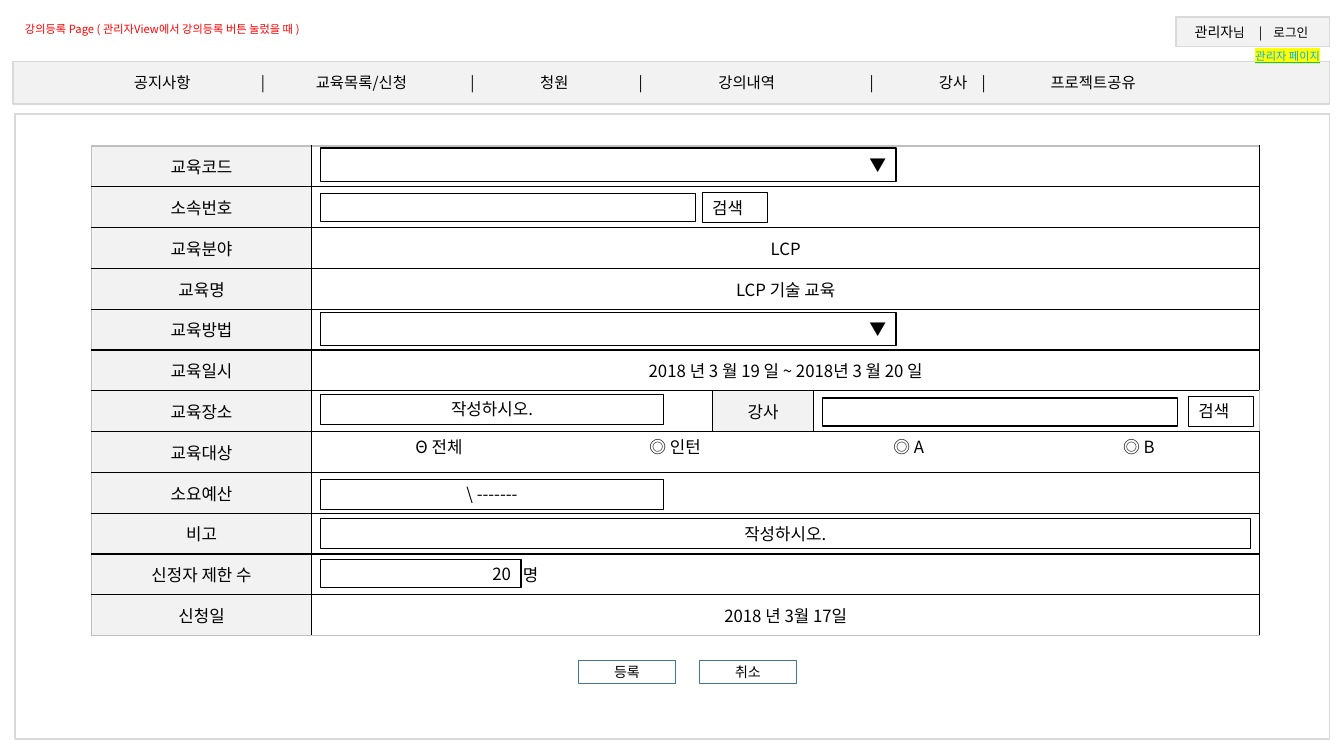
from lxml.etree import SubElement
from pptx import Presentation
from pptx.dml.color import RGBColor
from pptx.enum.shapes import MSO_SHAPE
from pptx.enum.text import MSO_ANCHOR, PP_ALIGN
from pptx.oxml.ns import qn
from pptx.util import Cm, Pt

FONT = "Noto Sans CJK KR"
BLACK = RGBColor(0x00, 0x00, 0x00)
RED = RGBColor(0xFF, 0x00, 0x00)
CYAN = RGBColor(0x00, 0xB0, 0xF0)
YELLOW = RGBColor(0xFF, 0xFF, 0x00)
LIGHT = RGBColor(0xF2, 0xF2, 0xF2)
SILVER = RGBColor(0xD9, 0xD9, 0xD9)
GREY = RGBColor(0xBF, 0xBF, 0xBF)
BLUE = RGBColor(0x43, 0x73, 0x9E)

COLUMNS = (5.54, 10.11, 2.54, 11.25)
ROWS = (
    ("교육코드", ""),
    ("소속번호", ""),
    ("교육분야", "LCP"),
    ("교육명", "LCP 기술 교육"),
    ("교육방법", ""),
    ("교육일시", "2018 년 3 월 19 일 ~ 2018년 3 월 20 일"),
    ("교육장소", ""),
    ("교육대상", ""),
    ("소요예산", ""),
    ("비고", ""),
    ("신정자 제한 수", "명"),
    ("신청일", "2018 년 3월 17일"),
)
PLACE_ROW, LIMIT_ROW = 6, 10
FIELD_LEFT = 5.77
# Row, left, offset in row, width, height, text, alignment, line width
FIELDS = (
    (0, FIELD_LEFT, 0.05, 14.5, 0.84, "▼", PP_ALIGN.RIGHT, 1),
    (1, FIELD_LEFT, 0.17, 9.45, 0.71, "", PP_ALIGN.LEFT, 1),
    (1, 15.39, 0.14, 1.63, 0.76, "검색", PP_ALIGN.LEFT, 0.25),
    (4, FIELD_LEFT, 0.08, 14.5, 0.84, "▼", PP_ALIGN.RIGHT, 1),
    (6, FIELD_LEFT, 0.08, 8.64, 0.76, "작성하시오.", PP_ALIGN.CENTER, 0.25),
    (6, 18.42, 0.18, 8.94, 0.71, "", PP_ALIGN.LEFT, 1),
    (6, 27.64, 0.13, 1.63, 0.76, "검색", PP_ALIGN.LEFT, 0.25),
    (8, FIELD_LEFT, 0.16, 8.64, 0.76, "\\ -------", PP_ALIGN.CENTER, 0.25),
    (9, FIELD_LEFT, 0.13, 23.42, 0.76, "작성하시오.", PP_ALIGN.CENTER, 0.25),
    (10, FIELD_LEFT, 0.14, 5.05, 0.71, "20", PP_ALIGN.RIGHT, 1),
)
TARGETS = (("Θ 전체", 7.27, 2.97), ("◎ 인턴", 13.23, 2.95),
           ("◎ A", 19.2, 2.79), ("◎ B", 25.0, 2.79))
# Menu words and bars with the centre of each, from the text edge
MENU = (("공지사항", 3.51), ("|", 6.05), ("교육목록/신청", 8.53), ("|", 11.33),
        ("청원", 13.39), ("|", 15.57), ("강의내역", 18.24), ("|", 21.39),
        ("강사", 23.44), ("|", 24.21), ("프로젝트공유", 26.97))


def style(paragraph, size, color=BLACK, align=PP_ALIGN.LEFT):
    paragraph.alignment = align
    font = paragraph.font
    font.size, font.name = Pt(size), FONT
    font.color.rgb = color
    defaults = paragraph._p.pPr.find(qn("a:defRPr"))
    SubElement(defaults, qn("a:ea"), typeface=FONT)


def add_center_tabs(paragraph, centers):
    tabs = SubElement(paragraph._p.get_or_add_pPr(), qn("a:tabLst"))
    for center in centers:
        SubElement(tabs, qn("a:tab"), pos=str(Cm(center)), algn="ctr")


def add_box(slide, box, fill=None, line=BLACK, weight=1.0):
    shape = slide.shapes.add_shape(MSO_SHAPE.RECTANGLE, *map(Cm, box))
    shape.shadow.inherit = False
    if fill is None:
        shape.fill.background()
    else:
        shape.fill.solid()
        shape.fill.fore_color.rgb = fill
    shape.line.color.rgb = line
    shape.line.width = Pt(weight)
    shape.text_frame.word_wrap = True
    shape.text_frame.vertical_anchor = MSO_ANCHOR.MIDDLE
    return shape.text_frame.paragraphs[0]


def add_label(slide, box, text, size, color=BLACK, align=PP_ALIGN.LEFT):
    frame = slide.shapes.add_textbox(*map(Cm, box)).text_frame
    frame.word_wrap = True
    label = frame.paragraphs[0]
    label.text = text
    style(label, size, color, align)
    return label


def add_login(slide, box):
    login = add_box(slide, box, LIGHT, SILVER)
    add_center_tabs(login, (0.85, 1.88, 2.64))
    for text, size in (("\t관리자", 10), ("님\t|\t로그인", 9)):
        run = login.add_run()
        run.text = text
        run.font.size = Pt(size)
    style(login, 9)


def add_admin_link(slide, box):
    link = add_label(slide, box, "관리자 페이지", 8, CYAN)
    link.font.underline = True
    properties = link.runs[0]._r.get_or_add_rPr()
    highlight = SubElement(properties, qn("a:highlight"))
    SubElement(highlight, qn("a:srgbClr"), val=str(YELLOW))


def add_menu(slide, box):
    menu = add_box(slide, box, LIGHT, SILVER)
    add_center_tabs(menu, [center for _, center in MENU])
    menu.text = "".join("\t" + word for word, _ in MENU)
    style(menu, 11)


def set_border(cell, side, color):
    line = SubElement(cell._tc.get_or_add_tcPr(), qn("a:" + side), w=str(Pt(1)))
    fill = SubElement(line, qn("a:solidFill"))
    SubElement(fill, qn("a:srgbClr"), val=str(color))


def add_table(slide, box):
    table = slide.shapes.add_table(len(ROWS), len(COLUMNS), *map(Cm, box)).table
    table.first_row = table.horz_banding = False
    for column, width in zip(table.columns, COLUMNS):
        column.width = Cm(width)
    last_row, last_column = len(ROWS) - 1, len(COLUMNS) - 1
    for r, (heading, value) in enumerate(ROWS):
        table.rows[r].height = Cm(box[3] / len(ROWS))
        texts = [heading, value, "강사" if r == PLACE_ROW else "", ""]
        for c, text in enumerate(texts):
            cell = table.cell(r, c)
            for side, outer in (("lnL", c == 0), ("lnR", c == last_column),
                                ("lnT", r == 0), ("lnB", r == last_row)):
                set_border(cell, side, GREY if outer else BLACK)
            if c == 0 or (r == PLACE_ROW and c == 2):
                cell.fill.solid()
                cell.fill.fore_color.rgb = LIGHT
            else:
                cell.fill.background()
            cell.margin_top = cell.margin_bottom = 0
            cell.vertical_anchor = MSO_ANCHOR.MIDDLE
            entry = cell.text_frame.paragraphs[0]
            entry.text = text
            style(entry, 12, align=PP_ALIGN.CENTER)
        if r != PLACE_ROW:
            table.cell(r, 1).merge(table.cell(r, last_column))
    # The unit follows the limit field
    unit = table.cell(LIMIT_ROW, 1)
    unit.margin_left = Cm(5.33)
    unit.text_frame.paragraphs[0].alignment = PP_ALIGN.LEFT


def add_form(slide, box):
    add_table(slide, box)
    left, top, _, height = box
    pitch = height / len(ROWS)
    for row, x, offset, width, depth, text, align, weight in FIELDS:
        field = add_box(slide, (left + x, top + row * pitch + offset, width, depth),
                        weight=weight)
        field.text = text
        style(field, 12, align=align)
    for text, x, width in TARGETS:
        add_label(slide, (left + x, top + 7 * pitch, width, 0.76), text, 12,
                  align=PP_ALIGN.CENTER)


def add_buttons(slide, box):
    left, top, width, height = box
    button_width = 2.44
    for text, x in (("등록", left), ("취소", left + width - button_width)):
        button = add_box(slide, (x, top, button_width, height), line=BLUE)
        button.text = text
        style(button, 10, align=PP_ALIGN.CENTER)


def main():
    presentation = Presentation()
    presentation.slide_width, presentation.slide_height = Cm(33.87), Cm(19.05)
    slide = presentation.slides.add_slide(presentation.slide_layouts[6])
    # Page header
    add_label(slide, (0.38, 0.43, 8.15, 0.61),
              "강의등록 Page ( 관리자View에서 강의등록 버튼 눌렀을 때 )", 8, RED)
    add_login(slide, (29.64, 0.43, 3.86, 0.74))
    add_menu(slide, (0.33, 1.55, 33.17, 1.07))
    # Registration form
    add_box(slide, (0.38, 2.87, 33.12, 15.75), line=SILVER)
    add_buttons(slide, (14.58, 16.64, 5.49, 0.58))
    add_form(slide, (2.31, 3.68, 29.44, 12.34))
    add_admin_link(slide, (31.39, 1.12, 2.74, 0.61))
    presentation.save("out.pptx")


if __name__ == "__main__":
    main()
